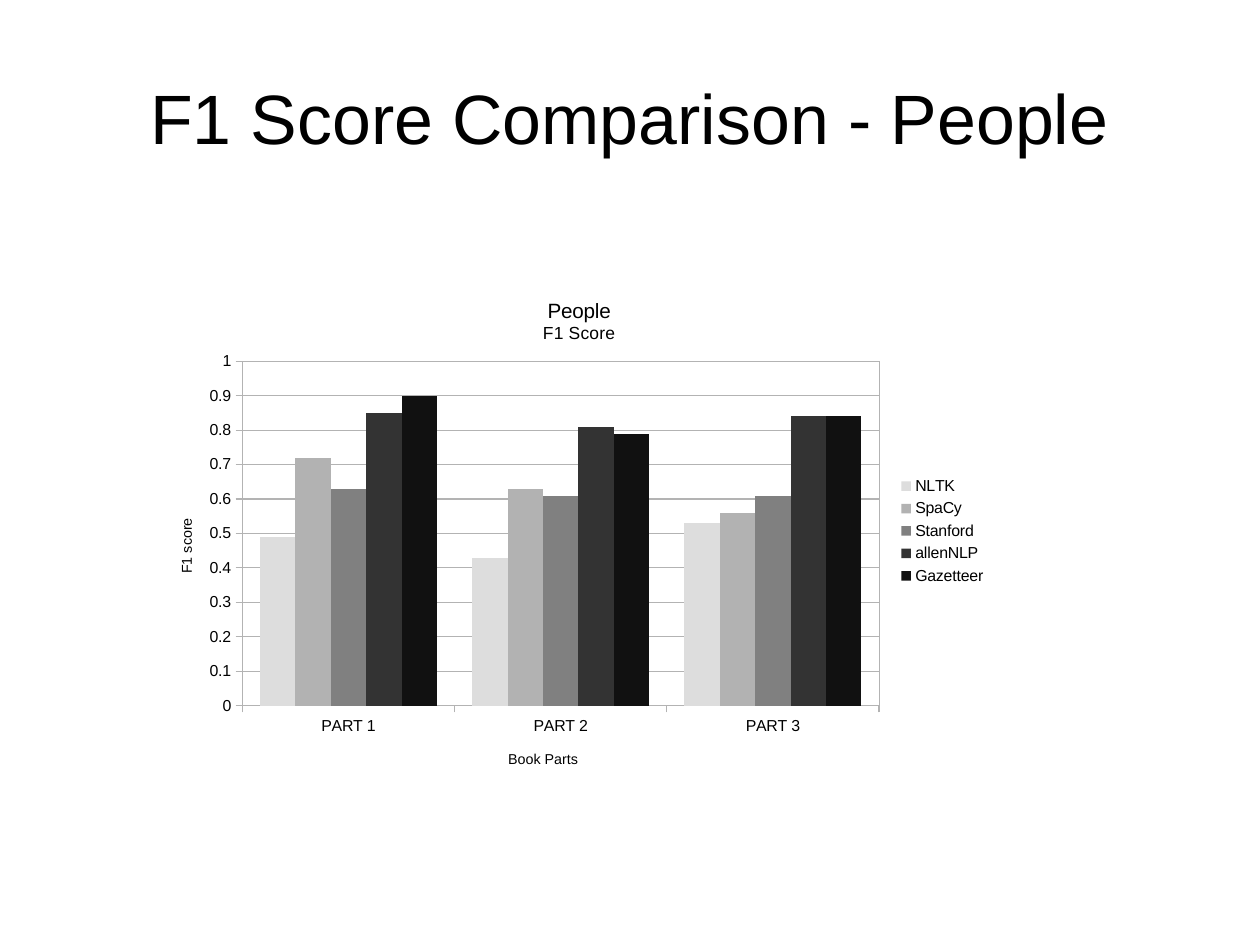
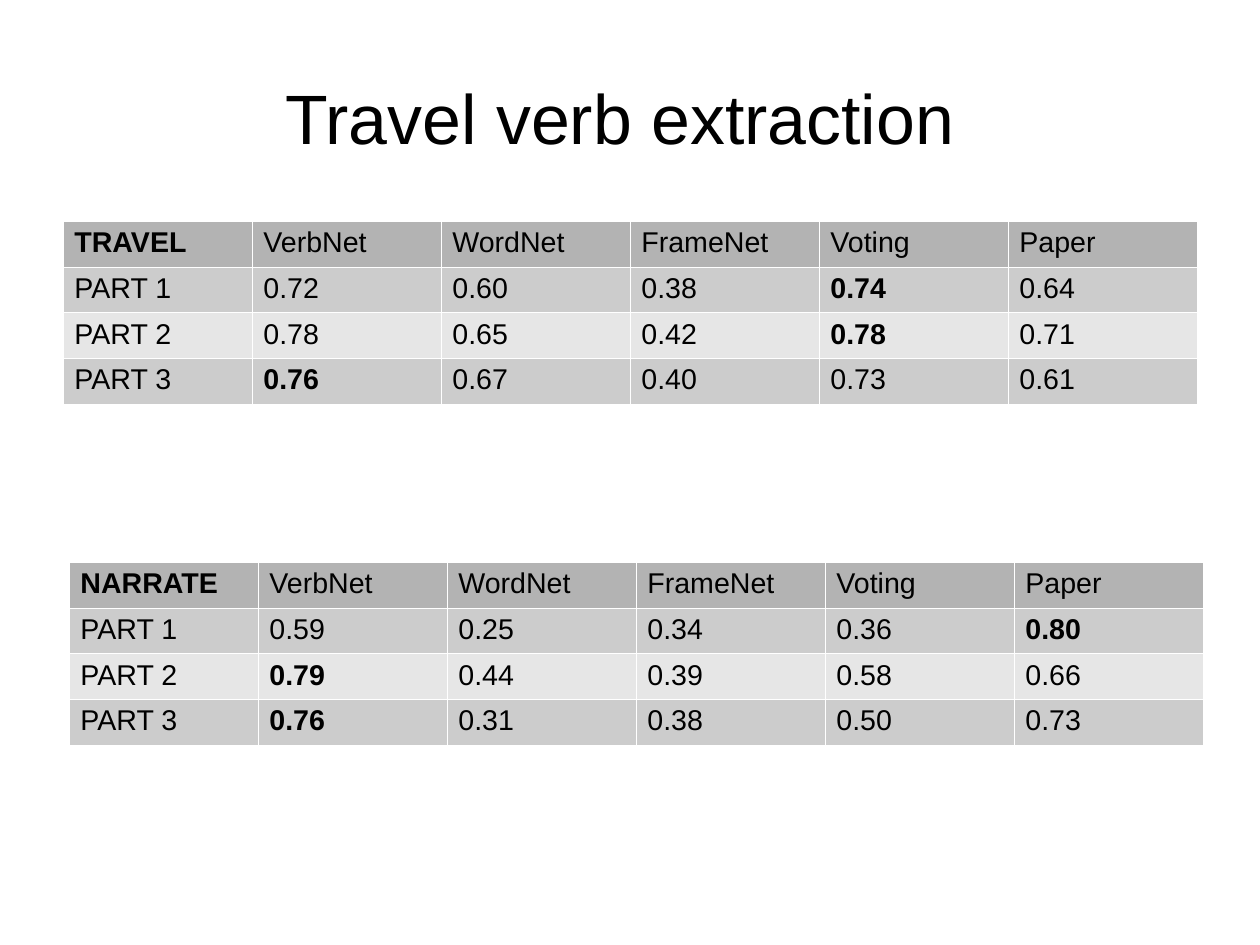
from lxml import etree
from pptx import Presentation
from pptx.chart import data as chart_data
from pptx.dml import color
from pptx.enum import chart as charts, text
from pptx.oxml import ns, parse_xml
from pptx.util import Pt

SCALE = 8000  # EMU in one px
FONT = "Arial"
BLACK, WHITE, GRID = "000000", "FFFFFF", "B3B3B3"
HEADER_FILL, BAND_FILLS = "B3B3B3", ("CCCCCC", "E6E6E6")
PARTS = ["PART 1", "PART 2", "PART 3"]
METHODS = ["VerbNet", "WordNet", "FrameNet", "Voting", "Paper"]

PEOPLE_SCORES = [
    ("NLTK", "DDDDDD", (0.49, 0.43, 0.53)),
    ("SpaCy", "B2B2B2", (0.72, 0.63, 0.56)),
    ("Stanford", "808080", (0.63, 0.61, 0.61)),
    ("allenNLP", "333333", (0.85, 0.81, 0.84)),
    ("Gazetteer", "111111", (0.90, 0.79, 0.84)),
]
# A star marks a score set in bold
TRAVEL_SCORES = ["0.72 0.60 0.38 0.74* 0.64",
                 "0.78 0.65 0.42 0.78* 0.71",
                 "0.76* 0.67 0.40 0.73 0.61"]
NARRATE_SCORES = ["0.59 0.25 0.34 0.36 0.80*",
                  "0.79* 0.44 0.39 0.58 0.66",
                  "0.76* 0.31 0.38 0.50 0.73"]


def px(*lengths):
    return [length * SCALE for length in lengths]


def rgb(value):
    return color.RGBColor.from_string(value)


def write(para, words, size=18, bold=False, fill=BLACK, align=None):
    span = para.add_run()
    span.text = words
    span.font.name, span.font.size, span.font.bold = FONT, Pt(size), bold
    span.font.color.rgb = rgb(fill)
    para.alignment = align


def add_page(deck, title):
    page = deck.slides.add_slide(deck.slide_layouts[6])
    box = page.shapes.add_textbox(*px(63, 38, 1134, 158))
    frame = box.text_frame
    frame.word_wrap = True
    frame.vertical_anchor = text.MSO_ANCHOR.MIDDLE
    frame.margin_left = frame.margin_top = 0
    frame.margin_right = frame.margin_bottom = 0
    write(frame.paragraphs[0], title, size=44, align=text.PP_ALIGN.CENTER)
    return page


# Chart helpers
def set_layout(parent, index, inner=False, **fractions):
    """Place a chart part by fractions of the chart's size."""
    for old in parent.findall(ns.qn("c:layout")):
        parent.remove(old)
    layout = etree.Element(ns.qn("c:layout"))
    manual = etree.SubElement(layout, ns.qn("c:manualLayout"))
    settings = [("layoutTarget", "inner")] if inner else []
    settings += [("xMode", "edge"), ("yMode", "edge"), *fractions.items()]
    for tag, value in settings:
        etree.SubElement(manual, ns.qn("c:" + tag)).set("val", str(value))
    parent.insert(index, layout)


def set_chart_title(title, lines, x, y, turn=0):
    frame = title.text_frame
    for number, (words, size) in enumerate(lines):
        para = frame.add_paragraph() if number else frame.paragraphs[0]
        write(para, words, size=size)
    for body in title._element.iter(ns.qn("a:bodyPr")):
        body.set("rot", str(turn * 60000))
        body.set("vert", "horz")
    set_layout(title._element, 1, x=x, y=y)


def style_line(line):
    line.color.rgb = rgb(GRID)
    line.width = 0


def add_score_chart(page, left, top, width, height):
    data = chart_data.CategoryChartData()
    data.categories = PARTS
    for name, _, scores in PEOPLE_SCORES:
        data.add_series(name, scores)
    chart = page.shapes.add_chart(charts.XL_CHART_TYPE.COLUMN_CLUSTERED,
                                  *px(left, top, width, height), data).chart
    chart.font.name, chart.font.size = FONT, Pt(10)
    chart.font.color.rgb = rgb(BLACK)

    # Columns
    plot = chart.plots[0]
    plot.gap_width, plot.overlap, plot.vary_by_categories = 100, 0, False
    for series, (_, fill, _) in zip(plot.series, PEOPLE_SCORES):
        series.invert_if_negative = False
        series.format.fill.solid()
        series.format.fill.fore_color.rgb = rgb(fill)

    # Axes
    for axis in (chart.category_axis, chart.value_axis):
        axis.major_tick_mark = charts.XL_TICK_MARK.OUTSIDE
        axis.minor_tick_mark = charts.XL_TICK_MARK.NONE
        style_line(axis.format.line)
    scale = chart.value_axis
    scale.minimum_scale, scale.maximum_scale, scale.major_unit = 0, 1, 0.1
    scale.tick_labels.number_format = "General"
    scale.tick_labels.number_format_is_linked = False
    scale.has_major_gridlines = True
    style_line(scale.major_gridlines.format.line)

    # Titles and legend
    chart.has_title = True
    set_chart_title(chart.chart_title, [("People", 13), ("F1 Score", 11)],
                    0.46, 0.04)
    set_chart_title(chart.category_axis.axis_title, [("Book Parts", 9)],
                    0.42, 0.92)
    set_chart_title(scale.axis_title, [("F1 score", 9)], 0.03, 0.47, turn=-90)
    chart.has_legend = True
    chart.legend.position = charts.XL_LEGEND_POSITION.RIGHT
    chart.legend.include_in_layout = False

    # Plot area and its frame
    area = chart._chartSpace.find(".//" + ns.qn("c:plotArea"))
    set_layout(area, 0, inner=True, x=0.11, y=0.17, w=0.75, h=0.67)
    area.append(parse_xml(
        f'<c:spPr {ns.nsdecls("c", "a")}><a:noFill/><a:ln w="0"><a:solidFill>'
        f'<a:srgbClr val="{GRID}"/></a:solidFill></a:ln></c:spPr>'))


# Tables
def style_cell(cell, fill):
    props = cell._tc.get_or_add_tcPr()
    for side in "LRTB":
        props.append(parse_xml(
            f'<a:ln{side} {ns.nsdecls("a")} w="720"><a:solidFill>'
            f'<a:srgbClr val="{WHITE}"/></a:solidFill></a:ln{side}>'))
    cell.fill.solid()
    cell.fill.fore_color.rgb = rgb(fill)


def add_score_table(page, left, top, width, height, heading, scores):
    rows = [[heading + "*", *METHODS]]
    rows += [[part, *line.split()] for part, line in zip(PARTS, scores)]
    table = page.shapes.add_table(len(rows), len(rows[0]),
                                  *px(left, top, width, height)).table
    table.first_row = table.horz_banding = False
    for row, entries in enumerate(rows):
        fill = BAND_FILLS[(row - 1) % 2] if row else HEADER_FILL
        for column, entry in enumerate(entries):
            cell = table.cell(row, column)
            style_cell(cell, fill)
            write(cell.text_frame.paragraphs[0], entry.rstrip("*"),
                  bold=entry.endswith("*"))


def main():
    deck = Presentation()
    deck.slide_width, deck.slide_height = px(1260, 945)

    page = add_page(deck, "F1 Score Comparison - People")
    add_score_chart(page, 149, 274, 849, 514)

    page = add_page(deck, "Travel verb extraction ")
    add_score_table(page, 63, 221, 1134, 174, "TRAVEL", TRAVEL_SCORES)
    add_score_table(page, 69, 562, 1134, 174, "NARRATE", NARRATE_SCORES)

    deck.save("out.pptx")


if __name__ == "__main__":
    main()
